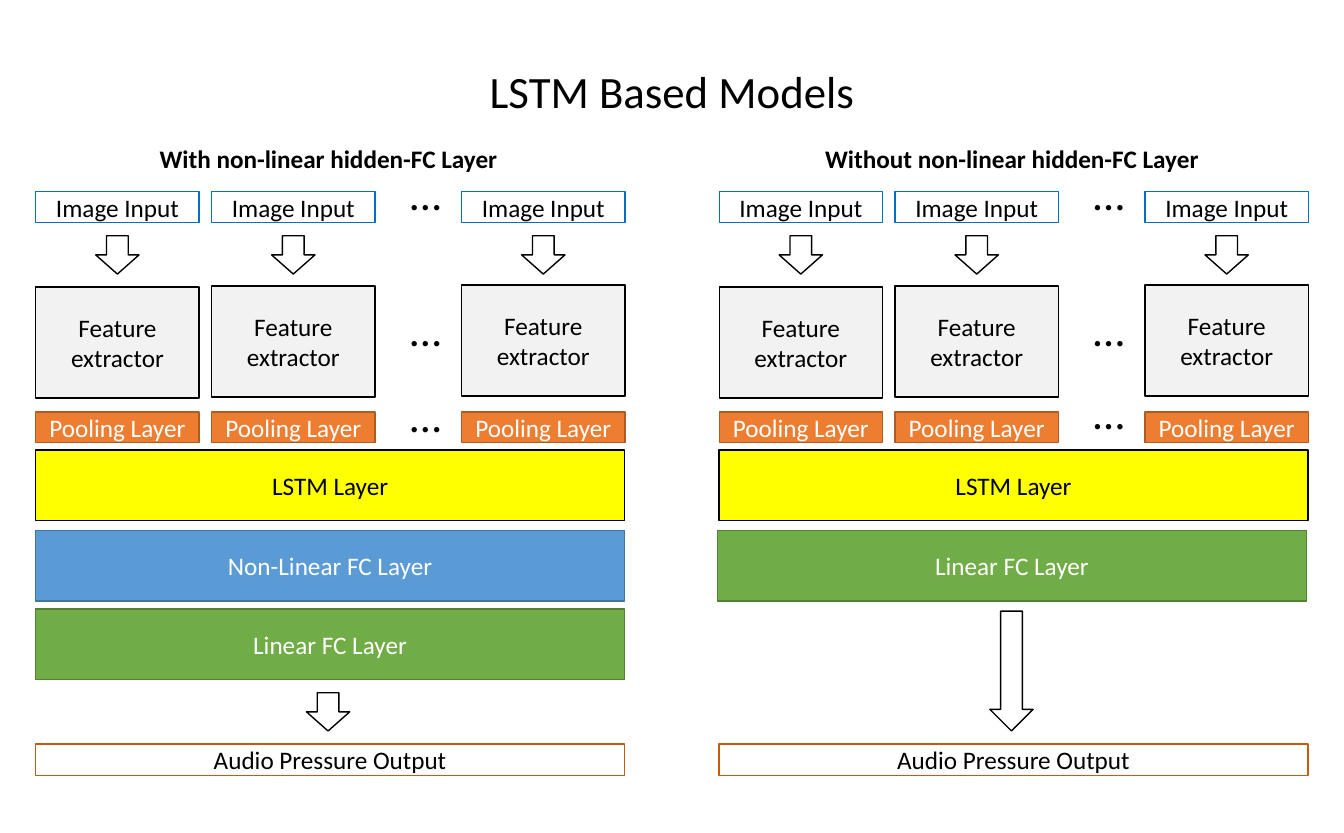
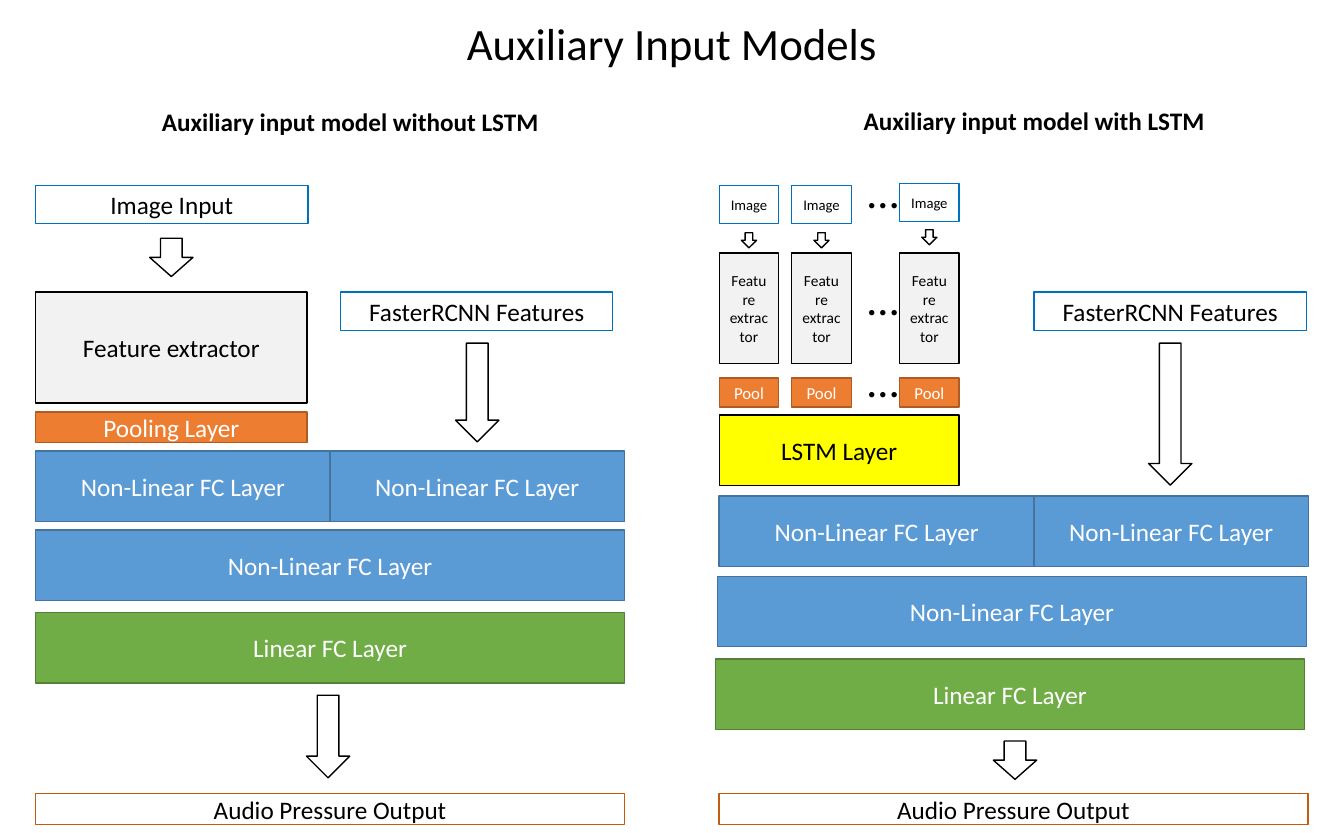
from dataclasses import dataclass
from typing import NamedTuple, Optional

from pptx import Presentation
from pptx.dml.color import RGBColor
from pptx.enum.shapes import MSO_SHAPE as Preset
from pptx.enum.text import MSO_ANCHOR as Anchor, MSO_AUTO_SIZE as AutoSize, PP_ALIGN as Align
from pptx.slide import Slide
from pptx.util import Inches, Mm, Pt

SLIDE_WIDTH = round(Inches(40) / 3)
SLIDE_HEIGHT = Mm(210)
CELL = Inches(0.1)
COLUMNS = SLIDE_WIDTH / CELL
PANEL_LEFTS = LEFT, RIGHT = 3.55, 71.35
PANEL_WIDTH = 58.4
ARROW_CENTER = 29
BAR_HEIGHT = 7
ARROW_WIDTH, ARROW_HEIGHT = 4.3, 3.8
FONT = "Calibri"
TITLE_SIZE, BODY_SIZE = 32, 18

BLACK = RGBColor(0x00, 0x00, 0x00)
WHITE = RGBColor(0xFF, 0xFF, 0xFF)
GREY = RGBColor(0xF2, 0xF2, 0xF2)
YELLOW = RGBColor(0xFF, 0xFF, 0x00)
ORANGE = RGBColor(0xED, 0x7D, 0x31)
BROWN = RGBColor(0xAF, 0x5C, 0x24)
RUST = RGBColor(0xC5, 0x5A, 0x11)
BLUE = RGBColor(0x5B, 0x9B, 0xD5)
STEEL = RGBColor(0x43, 0x73, 0x9E)
SKY = RGBColor(0x00, 0x70, 0xC0)
GREEN = RGBColor(0x70, 0xAD, 0x47)
FOREST = RGBColor(0x53, 0x80, 0x35)


class Style(NamedTuple):
    fill: Optional[RGBColor]
    line: RGBColor
    text: RGBColor = BLACK


INPUT = Style(None, SKY)
OUTPUT = Style(None, RUST)
EXTRACTOR = Style(GREY, BLACK)
POOLING = Style(ORANGE, BROWN, WHITE)
LSTM = Style(YELLOW, BLACK)
NON_LINEAR = Style(BLUE, STEEL, WHITE)
LINEAR = Style(GREEN, FOREST, WHITE)
ARROW = Style(WHITE, BLACK)


class Area(NamedTuple):
    column: float
    row: float
    width: float
    height: float

    def lengths(self) -> list[int]:
        return [round(cells * CELL) for cells in self]


@dataclass(frozen=True)
class Block:
    style: Style
    text: str
    area: Area
    size: float = BODY_SIZE


@dataclass(frozen=True)
class Layer:
    style: Style
    text: str
    row: float
    height: float
    size: float = BODY_SIZE
    shifts: tuple[float, ...] = (0, 0, 0)


@dataclass(frozen=True)
class Streams:
    offsets: tuple[float, ...]
    width: float
    layers: tuple[Layer, ...]
    arrow: Layer
    arrow_width: float
    dots_offset: float


WIDE_STREAMS = Streams(
    offsets=(0, 17.45, 42.25),
    width=16.2,
    layers=(
        Layer(INPUT, "Image Input", 19, 3.1),
        Layer(EXTRACTOR, "Feature extractor", 28.4, 11, shifts=(0.1, 0, -0.1)),
        Layer(POOLING, "Pooling Layer", 40.9, 3),
    ),
    arrow=Layer(ARROW, "", 23.4, ARROW_HEIGHT),
    arrow_width=ARROW_WIDTH,
    dots_offset=36.15,
)
NARROW_STREAMS = Streams(
    offsets=(0, 7.2, 17.9),
    width=5.9,
    layers=(
        Layer(INPUT, "Image", 18.4, 3.8, 10.5, (0, 0, -0.2)),
        Layer(EXTRACTOR, "Feature extractor", 25.1, 11, 11),
        Layer(POOLING, "Pool", 37.5, 2.9, 12),
    ),
    arrow=Layer(ARROW, "", 23.1, 1.5, shifts=(0, 0, -0.3)),
    arrow_width=1.5,
    dots_offset=13.75,
)


def write_text(shape, text: str, *, size: float = BODY_SIZE,
               color: RGBColor = BLACK, bold: bool = False) -> None:
    frame = shape.text_frame
    frame.word_wrap = True
    paragraph = frame.paragraphs[0]
    paragraph.alignment = Align.CENTER
    run = paragraph.add_run()
    run.text = text
    run.font.name = FONT
    run.font.size = Pt(size)
    run.font.bold = bold
    run.font.color.rgb = color


def add_label(slide: Slide, text: str, area: Area, *,
              size: float = BODY_SIZE, bold: bool = False) -> None:
    box = slide.shapes.add_textbox(*area.lengths())
    write_text(box, text, size=size, bold=bold)
    box.text_frame.auto_size = AutoSize.SHAPE_TO_FIT_TEXT


def add_title(slide: Slide, text: str, row: float, width: float) -> None:
    area = Area((COLUMNS - width) / 2, row, width, 6.4)
    add_label(slide, text, area, size=TITLE_SIZE)


def add_heading(slide: Slide, text: str, column: float, row: float) -> None:
    add_label(slide, text, Area(column, row, 51.9, 4), bold=True)


def add_preset(slide: Slide, preset: Preset, area: Area, style: Style):
    shape = slide.shapes.add_shape(preset, *area.lengths())
    shape.shadow.inherit = False
    if style.fill is None:
        shape.fill.background()
    else:
        shape.fill.solid()
        shape.fill.fore_color.rgb = style.fill
    shape.line.color.rgb = style.line
    shape.line.width = Pt(1)
    return shape


def add_block(slide: Slide, block: Block) -> None:
    shape = add_preset(slide, Preset.RECTANGLE, block.area, block.style)
    shape.text_frame.vertical_anchor = Anchor.MIDDLE
    write_text(shape, block.text, size=block.size, color=block.style.text)


def add_arrow(slide: Slide, center: float, row: float,
              height: float = ARROW_HEIGHT, width: float = ARROW_WIDTH) -> None:
    area = Area(center - width / 2, row, width, height)
    add_preset(slide, Preset.DOWN_ARROW, area, ARROW)


def add_streams(slide: Slide, streams: Streams, left: float,
                dots_rows: tuple[float, ...]) -> None:
    for index, offset in enumerate(streams.offsets):
        column = left + offset
        for layer in streams.layers:
            area = Area(column, layer.row + layer.shifts[index], streams.width, layer.height)
            add_block(slide, Block(layer.style, layer.text, area, layer.size))
        arrow = streams.arrow
        add_arrow(slide, column + streams.width / 2, arrow.row + arrow.shifts[index],
                  arrow.height, streams.arrow_width)
    for row in dots_rows:
        add_label(slide, "…", Area(left + streams.dots_offset, row, 3.6, 6.4), size=TITLE_SIZE)


def bar(style: Style, text: str, column: float, row: float,
        width: float = PANEL_WIDTH) -> Block:
    return Block(style, text, Area(column, row, width, BAR_HEIGHT))


def non_linear(column: float, row: float, width: float = PANEL_WIDTH) -> Block:
    return bar(NON_LINEAR, "Non-Linear FC Layer", column, row, width)


def linear(column: float, row: float) -> Block:
    return bar(LINEAR, "Linear FC Layer", column, row)


def lstm(column: float, row: float, width: float = PANEL_WIDTH) -> Block:
    return bar(LSTM, "LSTM Layer", column, row, width)


def region_features(column: float) -> Block:
    return Block(INPUT, "FasterRCNN Features", Area(column, 29, 27, 3.8))


def add_outputs(slide: Slide, row: float) -> None:
    for left in PANEL_LEFTS:
        area = Area(left, row, PANEL_WIDTH, 3.1)
        add_block(slide, Block(OUTPUT, "Audio Pressure Output", area))


def build_lstm_slide(slide: Slide) -> None:
    add_title(slide, "LSTM Based Models", 5.8, 51.9)
    add_heading(slide, "With non-linear hidden-FC Layer", 6.65, 13.7)
    add_heading(slide, "Without non-linear hidden-FC Layer", 74.45, 13.7)
    for left, pooling_dots in zip(PANEL_LEFTS, (38, 37.7)):
        add_streams(slide, WIDE_STREAMS, left, (16, 29.5, pooling_dots))
        add_block(slide, lstm(left, 44.65))
    for block in (non_linear(LEFT, 52.65), linear(LEFT, 60.45), linear(RIGHT - 0.15, 52.65)):
        add_block(slide, block)
    add_arrow(slide, LEFT + ARROW_CENTER, 68.75)
    add_arrow(slide, RIGHT + ARROW_CENTER, 60.65, 11.9)
    add_outputs(slide, 73.85)


def build_auxiliary_slide(slide: Slide) -> None:
    add_title(slide, "Auxiliary Input Models", 1.1, 81.9)
    add_heading(slide, "Auxiliary input model without LSTM", 8.8, 10.05)
    add_heading(slide, "Auxiliary input model with LSTM", 76.65, 10)
    add_streams(slide, NARROW_STREAMS, RIGHT, (15.8, 26.4, 34.5))
    blocks = (
        Block(INPUT, "Image Input", Area(LEFT, 18.4, 27, 3.8)),
        Block(EXTRACTOR, "Feature extractor", Area(LEFT, 29, 26.9, 11)),
        Block(POOLING, "Pooling Layer", Area(LEFT, 40.9, 26.9, 3)),
        region_features(33.8),
        non_linear(LEFT, 44.75, PANEL_WIDTH / 2),
        non_linear(LEFT + PANEL_WIDTH / 2, 44.75, PANEL_WIDTH / 2),
        non_linear(LEFT, 52.6),
        linear(LEFT, 60.8),
        lstm(RIGHT, 41.2, 23.8),
        region_features(102.6),
        non_linear(RIGHT, 49.25, 31.25),
        non_linear(102.6, 49.25, 27.2),
        non_linear(RIGHT - 0.15, 57.2),
        linear(RIGHT - 0.35, 65.4),
    )
    for block in blocks:
        add_block(slide, block)
    add_arrow(slide, 17, 23.65)
    add_arrow(slide, 47.35, 34.05, 9.8)
    add_arrow(slide, 116.1, 34.05, 14.1)
    add_arrow(slide, LEFT + ARROW_CENTER, 69, 8.2)
    add_arrow(slide, 100.7, 73.55)
    add_outputs(slide, 78.75)


def main() -> None:
    presentation = Presentation()
    presentation.slide_width = SLIDE_WIDTH
    presentation.slide_height = SLIDE_HEIGHT
    blank = presentation.slide_layouts[6]
    for build in (build_lstm_slide, build_auxiliary_slide):
        build(presentation.slides.add_slide(blank))
    presentation.save("out.pptx")


if __name__ == "__main__":
    main()
